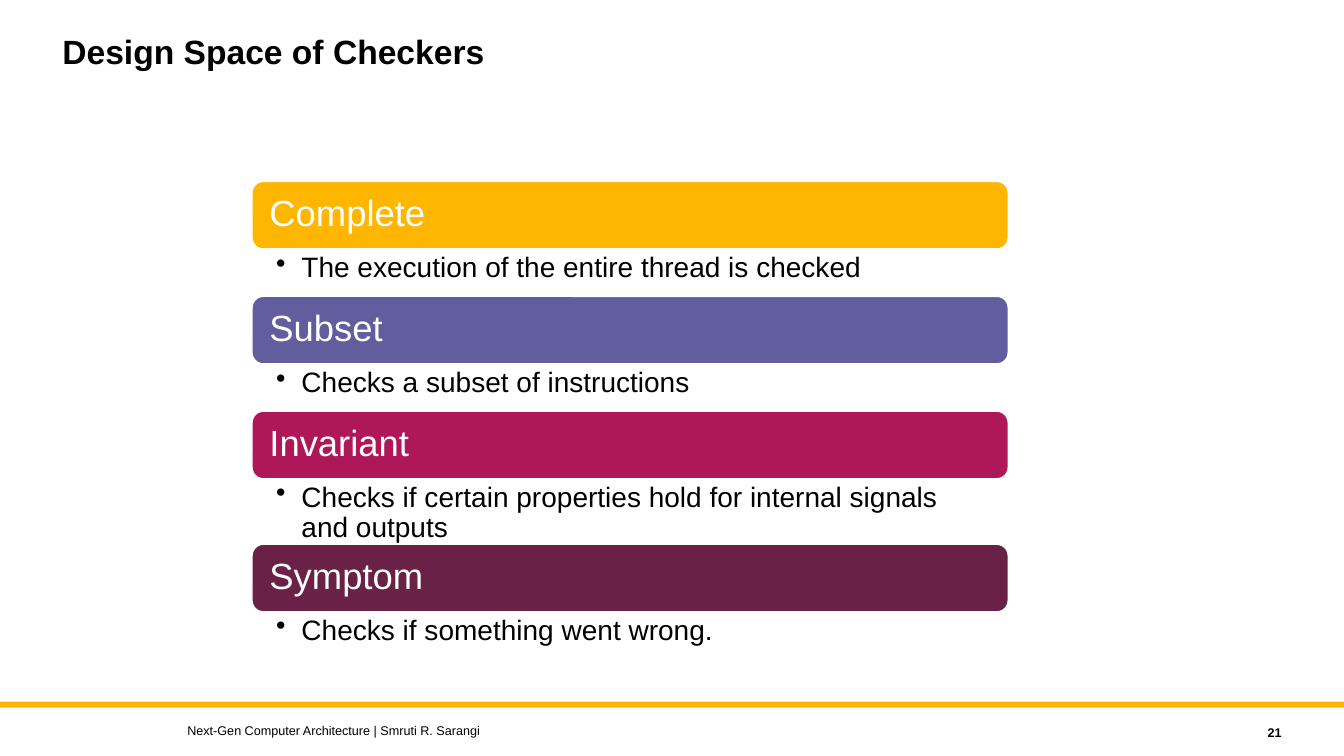
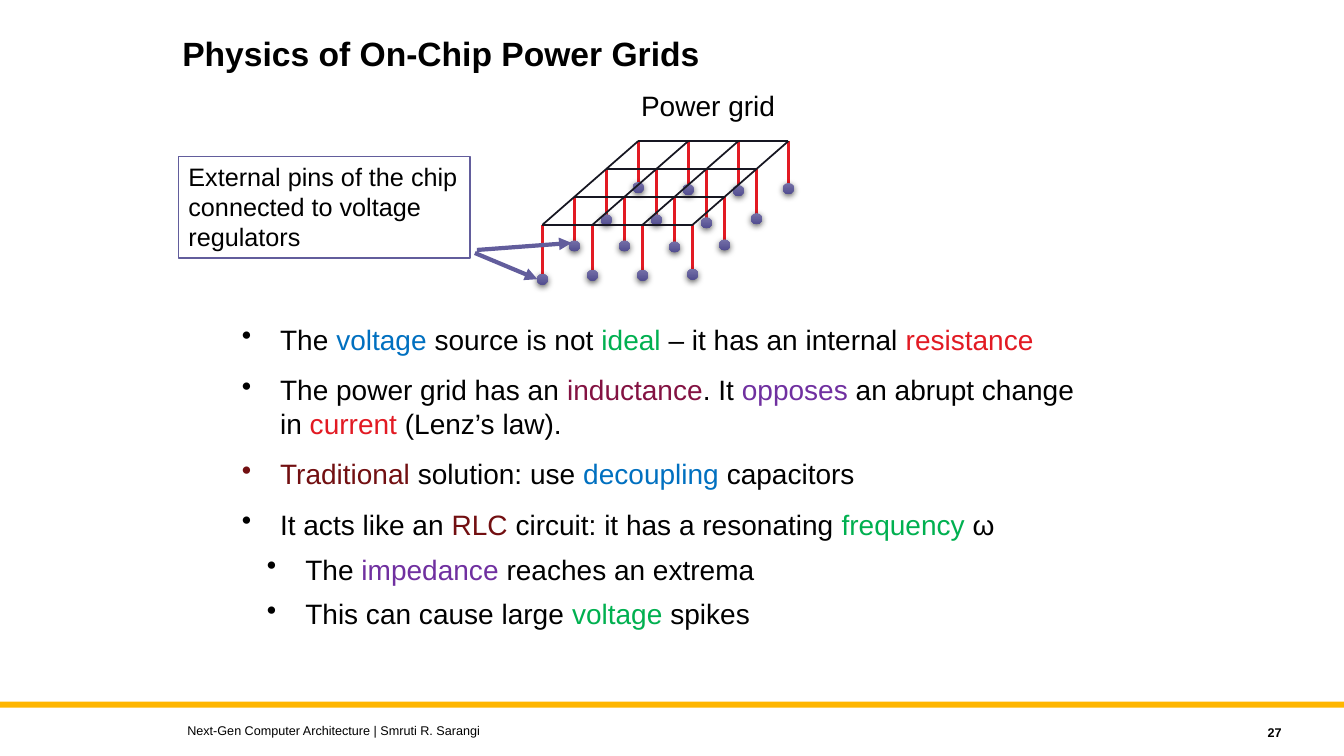
from lxml.etree import SubElement
from pptx import Presentation
from pptx.dml.color import RGBColor
from pptx.enum.shapes import MSO_CONNECTOR, MSO_SHAPE
from pptx.enum.text import MSO_ANCHOR, PP_ALIGN
from pptx.oxml.ns import qn
from pptx.util import Inches, Pt

BLACK, WHITE, GOLD, VIOLET = "000000", "FFFFFF", "FFB600", "625D9C"
BLUE, GREEN, RED, PURPLE = "0070C0", "00B050", "E21A23", "7030A0"
WINE, MAROON, PINK, PLUM, INK = "831242", "720F11", "AF1858", "692146", "171722"


def rgb(code):
    return RGBColor.from_string(code)


def apply(target, values):
    for name, value in values.items():
        setattr(target, name, value)


class Deck:
    font = "Arial"
    footer = "Next-Gen Computer Architecture | Smruti R. Sarangi"

    def __init__(self):
        self.prs = Presentation()
        apply(self.prs, {"slide_width": Inches(13.33), "slide_height": Inches(7.5)})
        self.slide = None

    def start(self, title, number, left, top, width):
        self.slide = self.prs.slides.add_slide(self.prs.slide_layouts[6])
        self.shape(MSO_SHAPE.RECTANGLE, 0, 6.96, 13.33, 0.06, GOLD)
        head = self.box(left, top, width, 0.9)
        self.text(head, [title], 24, bold=True, para={"line_spacing": 0.9})
        middle = {"vertical_anchor": MSO_ANCHOR.MIDDLE}
        note = self.box(1.76, 7.12, 8, 0.25, middle)
        self.text(note, [self.footer], 9)
        page = self.box(11.41, 7.14, 1.4, 0.25, middle)
        self.text(page, [str(number)], 9, bold=True,
                  para={"alignment": PP_ALIGN.RIGHT})

    def box(self, left, top, width, height, frame=None):
        area = [Inches(v) for v in (left, top, width, height)]
        text = self.slide.shapes.add_textbox(*area).text_frame
        apply(text, {"word_wrap": True, **(frame or {})})
        return text

    def shape(self, kind, left, top, width, height, fill, line=None):
        area = [Inches(v) for v in (left, top, width, height)]
        item = self.slide.shapes.add_shape(kind, *area)
        item.shadow.inherit = False
        item.fill.solid()
        item.fill.fore_color.rgb = rgb(fill)
        if line:
            item.line.color.rgb = rgb(line)
            item.line.width = Pt(1)
        else:
            item.line.fill.background()
        return item

    def text(self, frame, runs, size, color=BLACK, bold=False, para=None,
             bullet=None, first=True):
        item = frame.paragraphs[0] if first else frame.add_paragraph()
        apply(item, {"alignment": PP_ALIGN.LEFT, **(para or {})})
        if bullet:
            margin, hang = bullet
            props = item._p.get_or_add_pPr()
            props.set("marL", str(Inches(margin)))
            props.set("indent", str(-Inches(hang)))
            SubElement(props, qn("a:buChar")).set("char", "•")
        for part in runs:
            words, shade = (part, color) if isinstance(part, str) else part
            for index, piece in enumerate(words.split("\n")):
                if index:
                    item.add_line_break()
                run = item.add_run()
                run.text = piece
                apply(run.font, {"name": self.font, "size": Pt(size), "bold": bold})
                run.font.color.rgb = rgb(shade)

    def line(self, start, end, color, width, arrow=False):
        ends = [Inches(v) for v in (*start, *end)]
        item = self.slide.shapes.add_connector(MSO_CONNECTOR.STRAIGHT, *ends)
        item.line.color.rgb = rgb(color)
        item.line.width = Pt(width)
        props = item._element.spPr
        if arrow:
            SubElement(props.find(qn("a:ln")), qn("a:tailEnd")).set("type", "triangle")
        SubElement(props, qn("a:effectLst"))

    def ball(self, x, y, size=0.11):
        item = self.shape(MSO_SHAPE.OVAL, x - size / 2, y - size / 2, size, size, VIOLET)
        item.fill.gradient()
        item.fill.gradient_angle = 270
        for stop, shade in zip(item.fill.gradient_stops, ("7571A8", "524D90")):
            stop.color.rgb = rgb(shade)
        effects = item._element.spPr.find(qn("a:effectLst"))
        glow = SubElement(effects, qn("a:outerShdw"), blurRad=str(Pt(4.5)),
                          dist=str(Pt(1.5)), dir="5400000", rotWithShape="0")
        tint = SubElement(glow, qn("a:srgbClr"), val=BLACK)
        SubElement(tint, qn("a:alpha"), val="63000")

    def bar(self, top, height, name, fill):
        item = self.shape(MSO_SHAPE.ROUNDED_RECTANGLE, 2.5, top, 7.5, height, fill, WHITE)
        apply(item.text_frame, {"margin_left": Inches(0.14), "word_wrap": True,
                                "vertical_anchor": MSO_ANCHOR.MIDDLE})
        self.text(item.text_frame, [name], 26, WHITE, para={"line_spacing": 0.9})


def checkers(deck):
    deck.start("Design Space of Checkers", 21, 0.52, 0.3, 10)
    inset = {"margin_left": Inches(0.24), "margin_right": Inches(0.2),
             "margin_top": Inches(0.04), "margin_bottom": Inches(0.04)}
    kinds = [
        ("Complete", GOLD, 0.47, "The execution of the entire thread is checked"),
        ("Subset", VIOLET, 0.47, "Checks a subset of instructions"),
        ("Invariant", PINK, 0.65,
         "Checks if certain properties hold for internal signals and outputs"),
        ("Symptom", PLUM, 0.47, "Checks if something went wrong."),
    ]
    top, height = 1.8, 0.67
    for name, fill, room, detail in kinds:
        deck.bar(top, height, name, fill)
        frame = deck.box(2.5, top + height, 7.5, room, inset)
        deck.text(frame, [detail], 20, para={"line_spacing": 0.9}, bullet=(0.25, 0.25))
        top += height + room


def node(row, col):
    return 5.38 + (1.49 * col + 0.95 * row) / 3, 2.23 - 0.83 * row / 3


def mesh(deck):
    levels = [(2.77, 2.73, 2.73, 2.72), (2.44, 2.44, 2.45, 2.43),
              (2.18, 2.18, 2.21, 2.17), (1.86, 1.88, 1.89, 1.87)]
    for row in reversed(range(4)):
        for col, level in enumerate(levels[row]):
            x, y = node(row, col)
            deck.line((x, y), (x, level), RED, 2.25)
            deck.ball(x, level)
    for step in range(4):
        deck.line(node(step, 0), node(step, 3), INK, 1.25)
        deck.line(node(0, step), node(3, step), INK, 1.25)


def grids(deck):
    deck.start("Physics of On-Chip Power Grids", 27, 1.71, 0.32, 7.5)
    points = [
        (0, ["The ", ("voltage", BLUE), " source is not ", ("ideal", GREEN),
             " – it has an internal ", ("resistance", RED)]),
        (0, ["The power grid has an ", ("inductance", WINE), ". It ",
             ("opposes", PURPLE), " an abrupt change in ", ("current", RED),
             " (Lenz’s law)."]),
        (0, [("Traditional", MAROON), " solution: use ", ("decoupling", BLUE),
             " capacitors"]),
        (0, ["It acts like an ", ("RLC", MAROON),
             " circuit: it has a resonating ", ("frequency ", GREEN), "ω"]),
        (1, ["The ", ("impedance", PURPLE), " reaches an extrema"]),
        (1, ["This can cause large ", ("voltage", GREEN), " spikes"]),
    ]
    body = deck.box(2.3, 3.15, 8.56, 3.44)
    for index, (level, runs) in enumerate(points):
        space = Pt((12, 8)[level] if index else 0)
        deck.text(body, runs, 20, para={"level": level, "space_before": space},
                  bullet=(0.38 + 0.25 * level, 0.38), first=index == 0)
    mesh(deck)
    label = deck.box(6.26, 0.83, 1.54, 0.44, {"word_wrap": False})
    deck.text(label, ["Power grid"], 20)
    pins = deck.shape(MSO_SHAPE.RECTANGLE, 1.77, 1.55, 2.89, 1.01, WHITE, VIOLET)
    apply(pins.text_frame, {"word_wrap": False, "vertical_anchor": MSO_ANCHOR.TOP})
    deck.text(pins.text_frame, ["External pins of the chip"], 18)
    deck.text(pins.text_frame, ["connected to voltage\nregulators"], 18, first=False)
    deck.line((4.71, 2.51), (5.33, 2.77), VIOLET, 3, arrow=True)
    deck.line((4.73, 2.48), (5.67, 2.41), VIOLET, 3, arrow=True)


def main():
    deck = Deck()
    checkers(deck)
    grids(deck)
    deck.prs.save("out.pptx")


if __name__ == "__main__":
    main()
